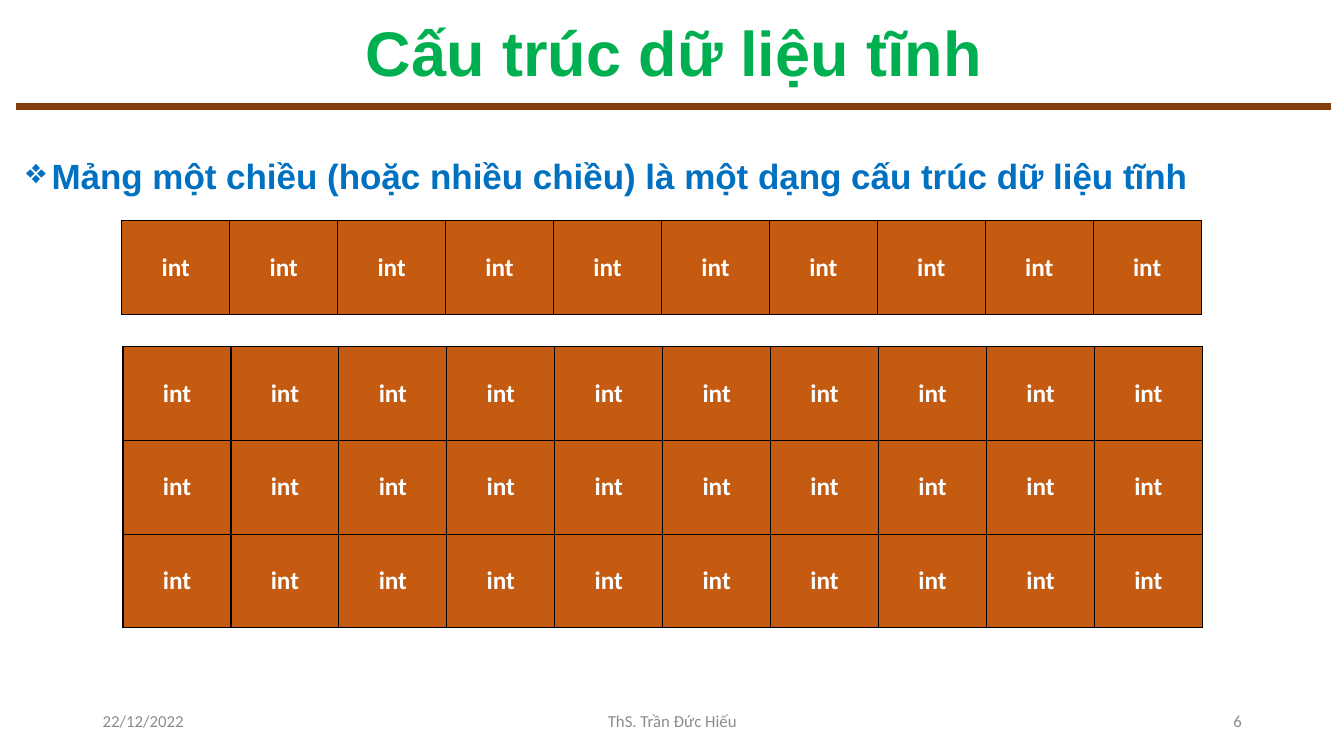
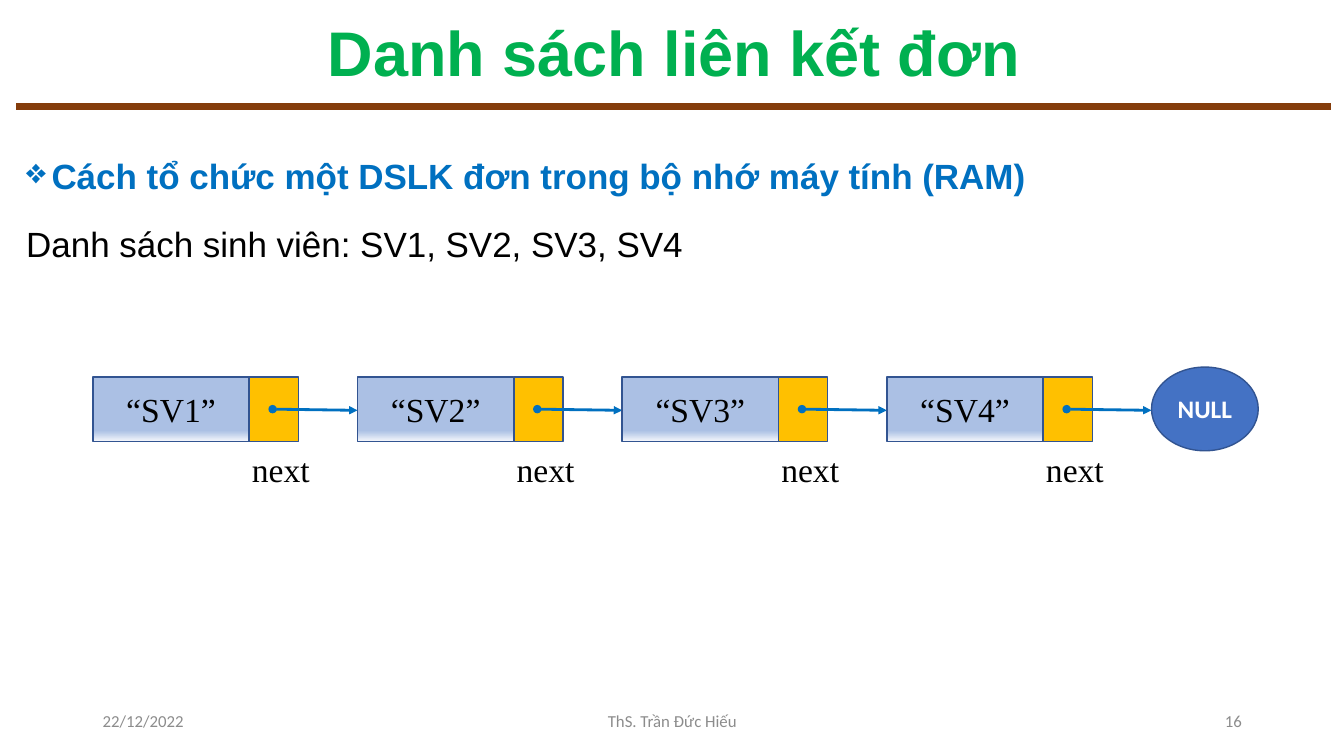
from lxml import etree
from pptx import Presentation
from pptx.dml.color import RGBColor
from pptx.enum.shapes import MSO_CONNECTOR, MSO_SHAPE
from pptx.enum.text import MSO_ANCHOR, PP_ALIGN
from pptx.oxml.ns import qn
from pptx.util import Cm, Pt

LEFT, CENTER, RIGHT = PP_ALIGN.LEFT, PP_ALIGN.CENTER, PP_ALIGN.RIGHT
TOP, MIDDLE = MSO_ANCHOR.TOP, MSO_ANCHOR.MIDDLE
RECT, OVAL = MSO_SHAPE.RECTANGLE, MSO_SHAPE.OVAL
STRAIGHT = MSO_CONNECTOR.STRAIGHT

COLORS = {
    "title": "00B050", "rule": "843C0B", "accent": "0070C0", "text": "000000",
    "footer": "8C8C8C", "cell": "C55A11", "border": "000000", "white": "FFFFFF",
    "data": "ABC0E4", "data_fade": "F6F8FC", "next": "FFC000",
    "null": "4472C4", "outline": "325491",
}
HEADING, PLAIN, CODE = "Arial", "Calibri", "Times New Roman"


def rgb(name):
    return RGBColor.from_string(COLORS[name])


class Deck:
    """Holds the shared style and the slide being built."""

    def __init__(self):
        self.prs = Presentation()
        self.prs.slide_width, self.prs.slide_height = Cm(33.87), Cm(19.05)
        self.shapes = None

    def slide(self, title, number):
        slide = self.prs.slides.add_slide(self.prs.slide_layouts[6])
        self.shapes = slide.shapes
        self.line((0.41, 2.69), (33.55, 2.69), "rule", 5)
        heading = self.text((0.41, 0.38, 33.15, 2.06), title, 45, HEADING, "title",
                            bold=True, align=CENTER, anchor=MIDDLE)
        heading.text_frame.paragraphs[0].line_spacing = 0.9
        # Footer: date, lecturer, slide number
        for left, width, text, align in ((2.34, 7.62, "22/12/2022", LEFT),
                                         (11.23, 11.43, "ThS. Trần Đức Hiếu", CENTER),
                                         (23.93, 7.62, str(number), RIGHT)):
            self.text((left, 17.65, width, 1.02), text, 12, PLAIN, "footer",
                      align=align, anchor=MIDDLE)

    def style(self, paragraph, size, font, color, bold=False, align=LEFT):
        paragraph.alignment = align
        for run in paragraph.runs:
            run.font.size, run.font.name, run.font.bold = Pt(size), font, bold
            run.font.color.rgb = rgb(color)

    def text(self, box, text, size, font, color, bold=False, align=LEFT,
             anchor=TOP, wrap=True):
        label = self.shapes.add_textbox(*map(Cm, box))
        frame = label.text_frame
        frame.text, frame.word_wrap, frame.vertical_anchor = text, wrap, anchor
        for paragraph in frame.paragraphs:
            self.style(paragraph, size, font, color, bold, align)
        return label

    def body(self, point, *details):
        content = self.text((0.41, 3.45, 33.15, 15.37), "\n".join((point, *details)),
                            25, HEADING, "text")
        paragraphs = content.text_frame.paragraphs
        for paragraph in paragraphs:
            paragraph.line_spacing, paragraph.space_before = 1.3, Pt(10)
        self.style(paragraphs[0], 25, HEADING, "accent", bold=True)
        props = paragraphs[0]._p.get_or_add_pPr()
        props.set("marL", str(Cm(0.64)))
        props.set("indent", str(-Cm(0.64)))
        etree.SubElement(props, qn("a:buChar"), char="❖")

    def shape(self, kind, box, fill, text="", size=18, font=PLAIN, color="white",
              bold=False, fade=None):
        figure = self.shapes.add_shape(kind, *map(Cm, box))
        figure.shadow.inherit = False
        figure.line.color.rgb, figure.line.width = rgb("outline"), Pt(1)
        if fade:
            figure.fill.gradient()
            figure.fill.gradient_angle = 270
            for stop, position, name in zip(figure.fill.gradient_stops,
                                            (0.83, 1), (fill, fade)):
                stop.position, stop.color.rgb = position, rgb(name)
        else:
            figure.fill.solid()
            figure.fill.fore_color.rgb = rgb(fill)
        if text:
            figure.text_frame.text = text
            figure.text_frame.vertical_anchor = MIDDLE
            self.style(figure.text_frame.paragraphs[0], size, font, color, bold, CENTER)

    def line(self, start, end, color, width, head=None, tail=None):
        link = self.shapes.add_connector(STRAIGHT, *map(Cm, (*start, *end)))
        link.line.color.rgb, link.line.width = rgb(color), Pt(width)
        for tag, kind in (("a:headEnd", head), ("a:tailEnd", tail)):
            if kind:
                etree.SubElement(link.line._get_or_add_ln(), qn(tag), type=kind)
        etree.SubElement(link._element.spPr, qn("a:effectLst"))

    def array(self, left, top, rows, columns, text):
        width, height = 2.72, 2.36
        table = self.shapes.add_table(rows, columns, Cm(left), Cm(top),
                                      Cm(width * columns), Cm(height * rows)).table
        table.first_row = table.horz_banding = False
        for cell in table.iter_cells():
            cell.text, cell.vertical_anchor = text, MIDDLE
            self.style(cell.text_frame.paragraphs[0], 18, PLAIN, "white", True, CENTER)
            self.borders(cell)
            cell.fill.solid()
            cell.fill.fore_color.rgb = rgb("cell")

    def borders(self, cell):
        props = cell._tc.get_or_add_tcPr()
        for side in "LRTB":
            edge = etree.SubElement(props, qn(f"a:ln{side}"), w=str(Pt(1)))
            paint = etree.SubElement(edge, qn("a:solidFill"))
            etree.SubElement(paint, qn("a:srgbClr"), val=COLORS["border"])

    def node(self, left, pitch, value):
        """A grouped list node: data, next field, pointer and label."""
        slide_shapes = self.shapes
        self.shapes = slide_shapes.add_group_shape().shapes
        self.shape(RECT, (left, 9.5, 3.94, 1.63), "data", value, 24, CODE, "text",
                   fade="data_fade")
        self.shape(RECT, (left + 3.94, 9.5, 1.24, 1.63), "next")
        self.line((left + 4.53, 10.31), (left + pitch, 10.34), "accent", 2,
                  head="oval", tail="triangle")
        self.text((left + 3.76, 11.18, 1.98, 1.27), "next", 24, CODE, "text", wrap=False)
        self.shapes = slide_shapes


def main():
    deck = Deck()

    # Static structures: one- and two-dimensional arrays
    deck.slide("Cấu trúc dữ liệu tĩnh", 6)
    deck.body("Mảng một chiều (hoặc nhiều chiều) là một dạng cấu trúc dữ liệu tĩnh")
    deck.array(3.07, 5.56, 1, 10, "int")
    deck.array(3.1, 8.74, 3, 10, "int")

    # Singly linked list
    deck.slide("Danh sách liên kết đơn", 16)
    deck.body("Cách tổ chức một DSLK đơn trong bộ nhớ máy tính (RAM)",
              "Danh sách sinh viên: SV1, SV2, SV3, SV4")
    students = ("“SV1”", "“SV2”", "“SV3”", "“SV4”")
    first, pitch = 2.34, 6.67
    for index, student in enumerate(students):
        deck.node(first + index * pitch, pitch, student)
    deck.shape(OVAL, (first + len(students) * pitch, 9.25, 2.69, 2.11), "null",
               "NULL", bold=True)

    deck.prs.save("out.pptx")


if __name__ == "__main__":
    main()
